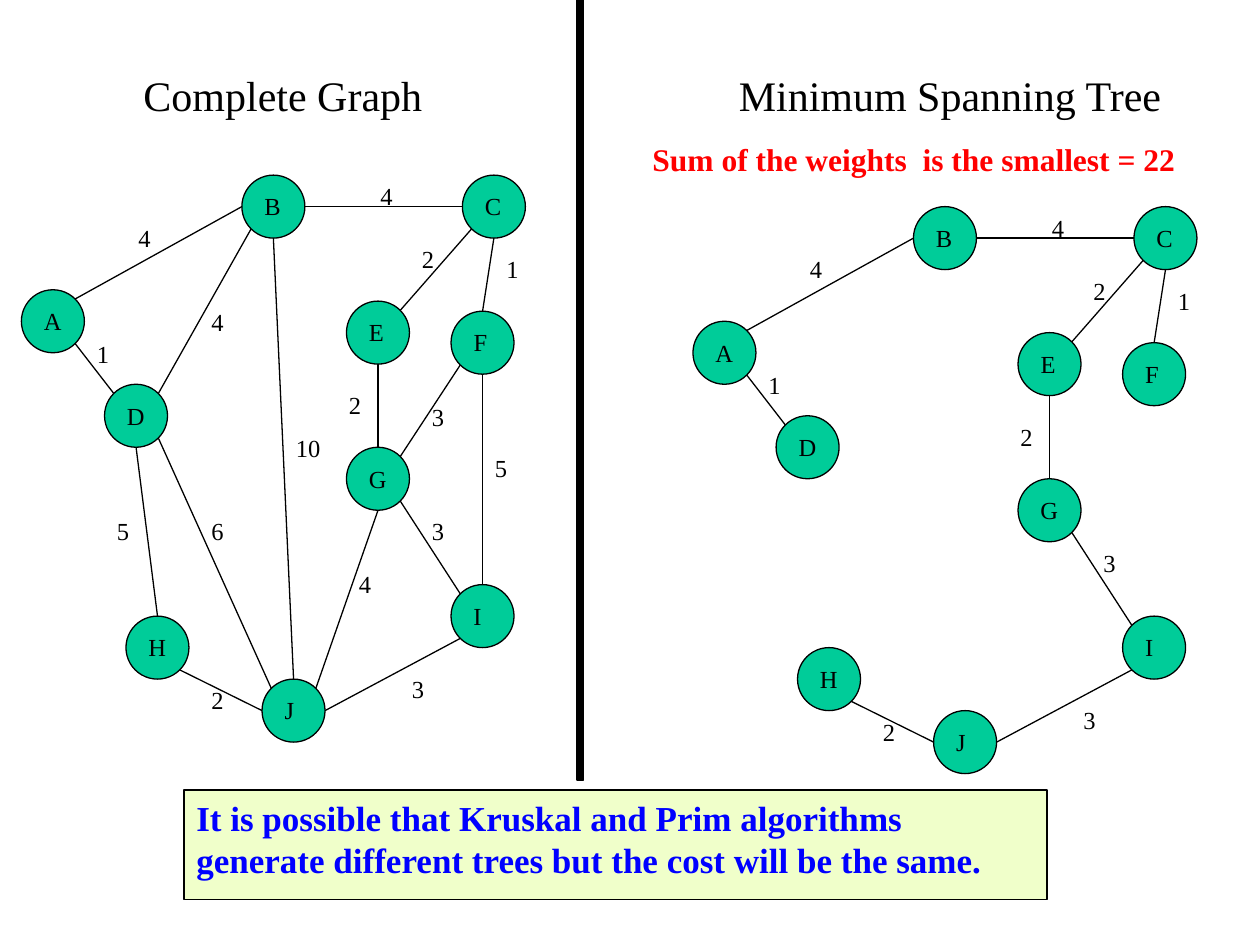
from math import cos, radians, sin

from lxml import etree
from pptx import Presentation
from pptx.dml.color import RGBColor
from pptx.enum.shapes import MSO_CONNECTOR, MSO_SHAPE
from pptx.enum.text import MSO_ANCHOR, MSO_AUTO_SIZE, PP_ALIGN
from pptx.oxml.ns import qn
from pptx.util import Inches, Pt

ELLIPSE, RECTANGLE = MSO_SHAPE.OVAL, MSO_SHAPE.RECTANGLE
STRAIGHT = MSO_CONNECTOR.STRAIGHT
LEFT, CENTER = PP_ALIGN.LEFT, PP_ALIGN.CENTER
TOP, NO_FIT = MSO_ANCHOR.TOP, MSO_AUTO_SIZE.NONE

FONT = "Times New Roman"
BLACK, GREEN, RED, BLUE, CREAM = "000000", "00CC99", "FF0000", "0000FF", "F0FFCA"
COMPARISON_LAYOUT = 4
DIAMETER = 0.5
LABEL_INSET = 0.08
LABEL_HEIGHT = 0.33
TREE_SHIFT = (5.33, 0.25)

# Headings: placeholder number, wording, left, width
HEADINGS = [
    (1, "Complete Graph", 0.33, 3.83),
    (3, "Minimum Spanning Tree", 5.75, 3.58),
]
TREE_NOTE = "Sum of the weights  is the smallest = 22"
CONCLUSION = ("It is possible that Kruskal and Prim algorithms generate "
              "different trees but the cost will be the same.")

# Nodes: left, top and label width
NODES = {
    "A": (0.17, 2.30, 0.34), "B": (1.92, 1.39, 0.33),
    "C": (3.67, 1.39, 0.33), "D": (0.83, 3.05, 0.34),
    "E": (2.75, 2.39, 0.32), "F": (3.58, 2.47, 0.31),
    "G": (2.75, 3.55, 0.34), "H": (1.00, 4.89, 0.34),
    "I": (3.58, 4.64, 0.27), "J": (2.08, 5.39, 0.28),
}

# Edges: node and rim side at each end, weight, weight's left and top
TREE_EDGES = [
    ("A", "NE", "B", "W", "4", 1.00, 1.72),
    ("B", "E", "C", "W", "4", 2.92, 1.39),
    ("C", "SW", "E", "NE", "2", 3.25, 1.89),
    ("C", "S", "F", "N", "1", 3.92, 1.97),
    ("D", "NW", "A", "SE", "1", 0.67, 2.64),
    ("E", "S", "G", "N", "2", 2.67, 3.05),
    ("I", "NW", "G", "SE", "3", 3.33, 4.05),
    ("J", "E", "I", "SW", "3", 3.17, 5.30),
    ("J", "W", "H", "SE", "2", 1.58, 5.39),
]
OTHER_EDGES = [
    ("B", "SW", "D", "NE", "4", 1.58, 2.39),
    ("D", "SE", "J", "NW", "6", 1.58, 4.05),
    ("D", "S", "H", "N", "5", 0.83, 4.05),
    ("B", "S", "J", "N", "10", 2.25, 3.39),
    ("J", "NE", "G", "S", "4", 2.75, 4.47),
    ("F", "SW", "G", "NE", "3", 3.33, 3.14),
    ("F", "S", "I", "N", "5", 3.83, 3.55),
]
SIDES = ["E", "SE", "S", "SW", "W", "NW", "N", "NE"]


def color(value):
    return RGBColor.from_string(value)


def write(box, text, size, ink=BLACK, bold=False, align=LEFT, wrap=True):
    frame = box.text_frame
    frame.text = text
    frame.word_wrap = wrap
    frame.auto_size = NO_FIT
    frame.vertical_anchor = TOP
    para = frame.paragraphs[0]
    para.alignment = align
    para.space_before = Pt(0)
    font = para.runs[0].font
    font.name, font.size, font.bold = FONT, Pt(size), bold
    font.color.rgb = color(ink)


def add_text(page, text, left, top, width, height, size, **style):
    box = page.shapes.add_textbox(*map(Inches, (left, top, width, height)))
    write(box, text, size, **style)


def add_block(page, kind, left, top, width, height, fill):
    block = page.shapes.add_shape(kind, *map(Inches, (left, top, width, height)))
    block.shadow.inherit = False
    block.fill.solid()
    block.fill.fore_color.rgb = color(fill)
    block.line.color.rgb = color(BLACK)
    block.line.width = Pt(0.75)
    return block


def rim_point(node, side):
    left, top, _ = NODES[node]
    angle = radians(45 * SIDES.index(side))
    radius = DIAMETER / 2
    return left + radius * (1 + cos(angle)), top + radius * (1 + sin(angle))


def add_graph(page, edges, shift_x=0, shift_y=0):
    for start, start_side, end, end_side, weight, left, top in edges:
        x1, y1 = rim_point(start, start_side)
        x2, y2 = rim_point(end, end_side)
        edge = page.shapes.add_connector(
            STRAIGHT, Inches(x1 + shift_x), Inches(y1 + shift_y),
            Inches(x2 + shift_x), Inches(y2 + shift_y))
        edge.line.color.rgb = color(BLACK)
        edge.line.width = Pt(0.75)
        etree.SubElement(edge._element.spPr, qn("a:effectLst"))
        add_text(page, weight, left + shift_x, top + shift_y,
                 0.2 + 0.1 * len(weight), LABEL_HEIGHT, 14, wrap=False)
    for name, (left, top, label_width) in NODES.items():
        x, y = left + shift_x, top + shift_y
        add_block(page, ELLIPSE, x, y, DIAMETER, DIAMETER, GREEN)
        add_text(page, name, x + LABEL_INSET, y + LABEL_INSET,
                 label_width, LABEL_HEIGHT, 14, wrap=False)


def main():
    deck = Presentation()
    deck.slide_width, deck.slide_height = Inches(10), Inches(7.5)
    page = deck.slides.add_slide(deck.slide_layouts[COMPARISON_LAYOUT])

    # Headings of the two halves, and the divider between them
    holders = {holder.placeholder_format.idx: holder for holder in page.placeholders}
    for number, text, left, width in HEADINGS:
        heading = holders.pop(number)
        heading.left, heading.top = Inches(left), Inches(0.5)
        heading.width, heading.height = Inches(width), Inches(0.5)
        write(heading, text, 24, align=CENTER)
    for unused in holders.values():
        unused._element.getparent().remove(unused._element)
    add_block(page, RECTANGLE, 4.58, 0, 0.05, 6.19, BLACK)

    # The whole graph, then its tree with the same layout shifted
    add_graph(page, TREE_EDGES + OTHER_EDGES)
    add_graph(page, TREE_EDGES, *TREE_SHIFT)
    add_text(page, TREE_NOTE, 5.08, 1.06, 4.59, 0.4, 18, ink=RED, bold=True)

    # Conclusion
    conclusion = add_block(page, RECTANGLE, 1.46, 6.27, 6.85, 0.87, CREAM)
    write(conclusion, CONCLUSION, 20, ink=BLUE, bold=True)

    deck.save("out.pptx")


if __name__ == "__main__":
    main()
